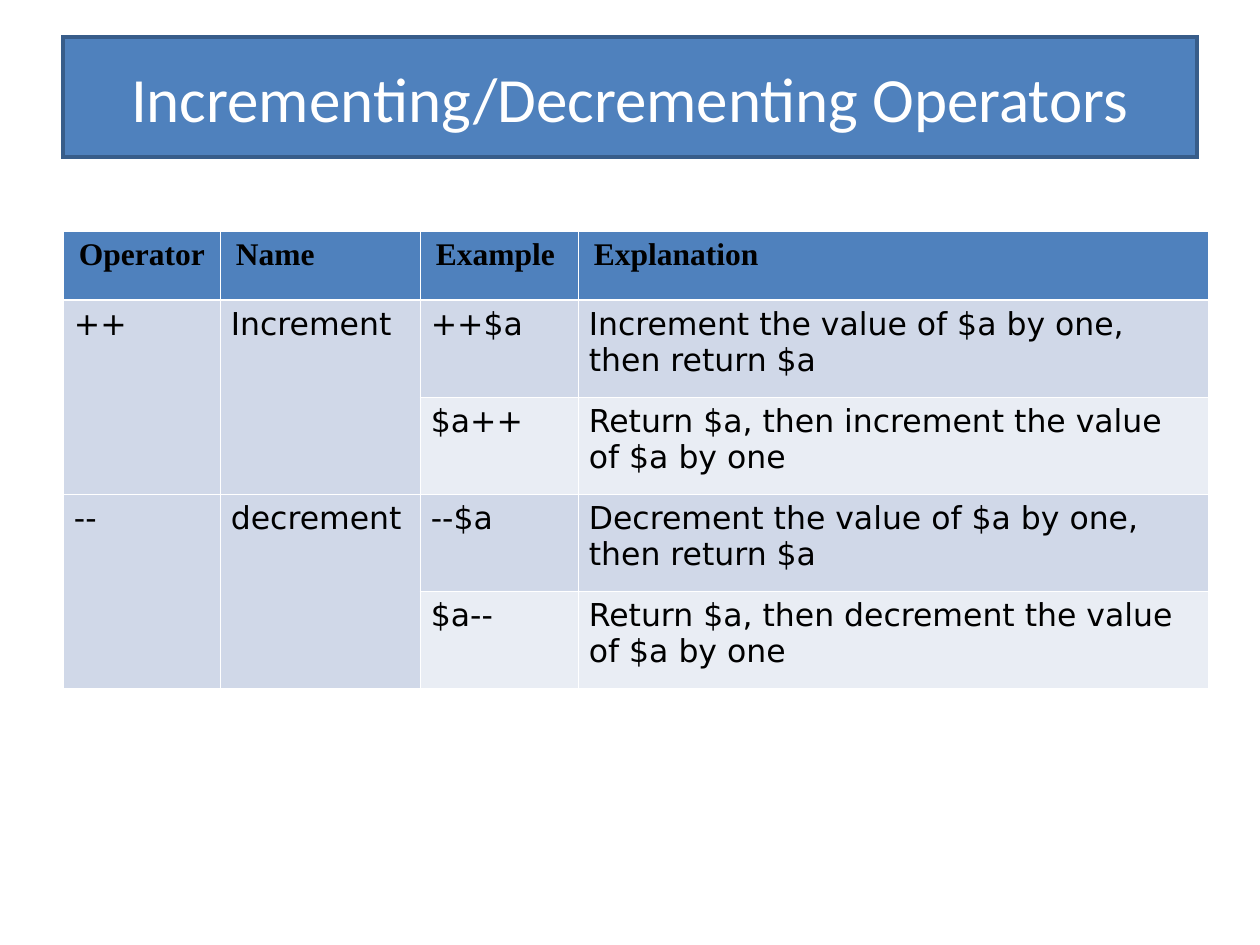
from lxml import etree
from pptx import Presentation
from pptx import util as u
from pptx.dml.color import RGBColor
from pptx.enum import text
from pptx.oxml.ns import qn

EMU_PER_PX = 914400 / 126
COLORS = {
    "blue": "4F81BD",
    "dark_blue": "385D8A",
    "band_dark": "D0D8E8",
    "band_light": "E9EDF4",
    "white": "FFFFFF",
    "black": "000000",
}


def px(length):
    return u.Emu(round(length * EMU_PER_PX))


def color(name):
    return RGBColor.from_string(COLORS[name])


def write(frame, content, font="DejaVu Sans", size=18, ink="black", bold=False,
          align=text.PP_ALIGN.LEFT, anchor=text.MSO_ANCHOR.TOP):
    frame.word_wrap = True
    frame.vertical_anchor = anchor
    paragraph = frame.paragraphs[0]
    paragraph.alignment = align
    run = paragraph.add_run()
    run.text = content
    run.font.name = font
    run.font.size = u.Pt(size)
    run.font.bold = bold
    run.font.color.rgb = color(ink)


class SlideBuilder:
    def __init__(self, presentation):
        self.slide = presentation.slides.add_slide(presentation.slide_layouts[5])

    def title(self, content, left, top, width, height):
        shape = self.slide.shapes.title
        shape.left, shape.top = px(left), px(top)
        shape.width, shape.height = px(width), px(height)
        shape.fill.solid()
        shape.fill.fore_color.rgb = color("blue")
        shape.line.color.rgb = color("dark_blue")
        shape.line.width = u.Pt(2)
        line = shape._element.spPr.find(qn("a:ln"))
        etree.SubElement(line, qn("a:miter"), lim="800000")  # square corners
        write(shape.text_frame, content, font="Calibri", size=36, ink="white",
              align=text.PP_ALIGN.CENTER, anchor=text.MSO_ANCHOR.MIDDLE)

    def border(self, cell, side, width):
        line = etree.SubElement(cell._tc.get_or_add_tcPr(), qn(f"a:ln{side}"),
                                w=str(u.Pt(width)))
        fill = etree.SubElement(line, qn("a:solidFill"))
        etree.SubElement(fill, qn("a:srgbClr"), val=COLORS["white"])

    def cell(self, cell, content, fill, margin_left, widths, **style):
        cell.margin_left, cell.margin_right = px(margin_left), px(10)
        cell.margin_top = cell.margin_bottom = px(6)
        for side in "LRTB":  # the schema needs borders ahead of the fill
            self.border(cell, side, widths.get(side, 0.45))
        cell.fill.solid()
        cell.fill.fore_color.rgb = color(fill)
        if content:
            write(cell.text_frame, content, **style)

    def table(self, rows, left, top, columns, heights):
        frame = self.slide.shapes.add_table(
            len(rows), len(columns), px(left), px(top),
            px(sum(columns)), px(sum(heights)))
        table = frame.table
        for column, width in zip(table.columns, columns):
            column.width = px(width)
        for row, height in zip(table.rows, heights):
            row.height = px(height)
        for r, row in enumerate(rows):
            for c, content in enumerate(row):
                cell = table.cell(r, c)
                if r == 0:
                    self.cell(cell, content, "blue", 16, {"B": 1.47},
                              font="Times New Roman", bold=True)
                else:
                    fill = "band_dark" if r % 2 else "band_light"
                    self.cell(cell, content, fill, 11, {"T": 1.47} if r == 1 else {})
        return table


def main():
    presentation = Presentation()
    presentation.slide_width, presentation.slide_height = px(1260), px(945)
    builder = SlideBuilder(presentation)

    # Title banner
    builder.title("Incrementing/Decrementing Operators", 63, 37, 1134, 120)

    # Operator table
    rows = [
        ("Operator", "Name", "Example", "Explanation"),
        ("++", "Increment", "++$a",
         "Increment the value of $a by one, then return $a"),
        ("", "", "$a++", "Return $a, then increment the value of $a by one"),
        ("--", "decrement", "--$a",
         "Decrement the value of $a by one, then return $a"),
        ("", "", "$a--", "Return $a, then decrement the value of $a by one"),
    ]
    table = builder.table(rows, 63, 231, [157, 200, 158, 630], [69] + [97] * 4)

    # Each operator and its name span two rows
    for row in (1, 3):
        for column in (0, 1):
            table.cell(row, column).merge(table.cell(row + 1, column))

    presentation.save("out.pptx")


if __name__ == "__main__":
    main()
